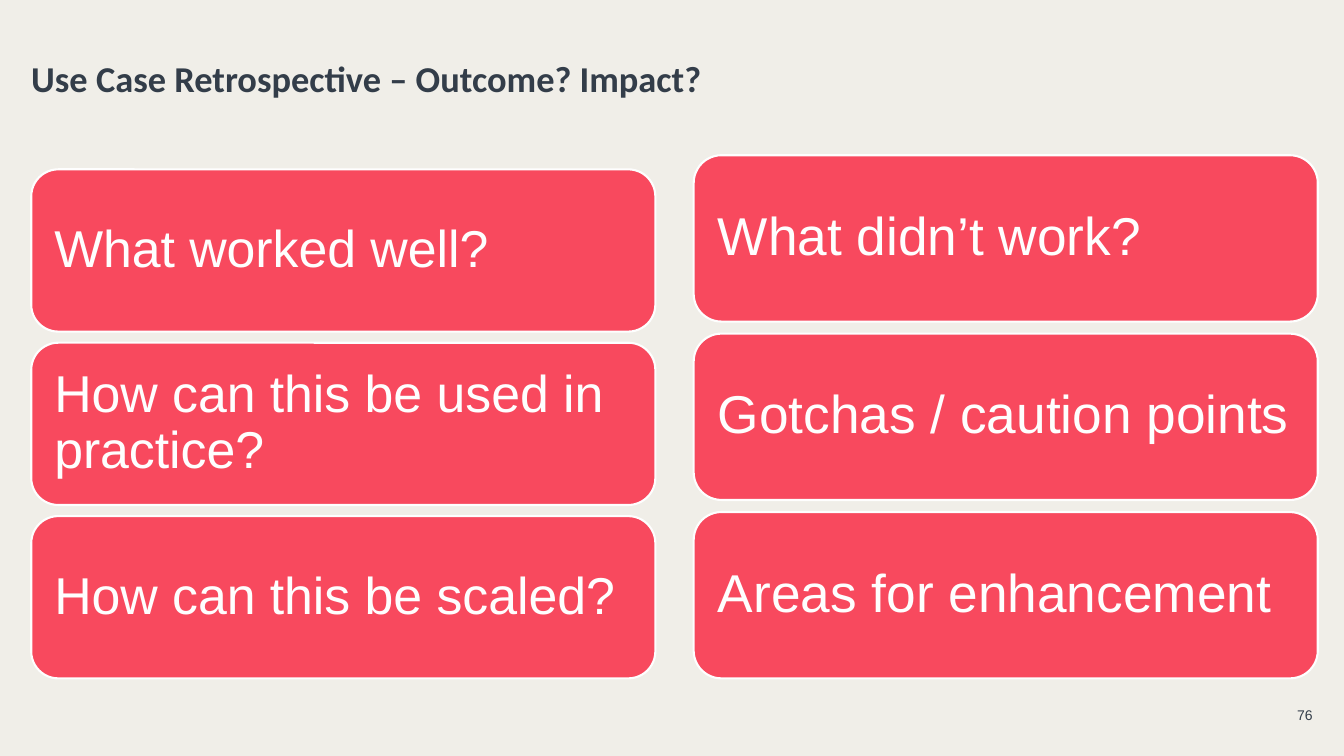
from pptx import Presentation
from pptx.dml.color import RGBColor as RGB
from pptx.enum.shapes import MSO_SHAPE as Shape
from pptx.enum.text import MSO_ANCHOR as Anchor, MSO_AUTO_SIZE as Fit, PP_ALIGN as Align
from pptx.util import Inches, Pt

COLORS = {"back": "F0EEE8", "ink": "333D49", "card": "F8495E", "white": "FEFEFE"}
FONTS = {
    "title": {"name": "Calibri", "size": Pt(26), "bold": True},
    "page": {"name": "Arial", "size": Pt(10)},
    "left": {"name": "Arial", "size": Pt(37)},
    "right": {"name": "Arial", "size": Pt(38)},
}
LEFT = ["What worked well?", "How can this be used in practice?", "How can this be scaled?"]
RIGHT = ["What didn’t work?", "Gotchas / caution points", "Areas for enhancement"]


def color(name):
    return RGB.from_string(COLORS[name])


def write(shape, text, font, ink, anchor, align=Align.LEFT, inset=0, line=1.0, wrap=True):
    frame = shape.text_frame
    pad = Inches(inset)
    values = {"auto_size": Fit.NONE, "word_wrap": wrap, "vertical_anchor": anchor,
              "margin_left": pad, "margin_right": pad,
              "margin_top": pad, "margin_bottom": pad}
    for key, value in values.items():
        setattr(frame, key, value)
    para = frame.paragraphs[0]
    para.alignment, para.line_spacing = align, line
    run = para.add_run()
    run.text = text
    for key, value in FONTS[font].items():
        setattr(run.font, key, value)
    run.font.color.rgb = color(ink)


def add_title(slide, text, box):
    title = slide.shapes.title
    title.left, title.top, title.width, title.height = map(Inches, box)
    write(title, text, "title", "ink", Anchor.BOTTOM, line=1.05)


def add_page(slide, number, box):
    page = slide.shapes.add_textbox(*map(Inches, box))
    write(page, number, "page", "ink", Anchor.BOTTOM, Align.RIGHT, wrap=False)


def add_cards(slide, texts, box, gap, font, inset):
    """Stack equal cards that fill the box."""
    left, top, width, height = box
    tall = (height - gap * (len(texts) - 1)) / len(texts)
    for row, text in enumerate(texts):
        place = (left, top + row * (tall + gap), width, tall)
        card = slide.shapes.add_shape(Shape.ROUNDED_RECTANGLE, *map(Inches, place))
        card.shadow.inherit = False
        card.fill.solid()
        card.fill.fore_color.rgb = color("card")
        card.line.color.rgb = color("white")
        card.line.width = Pt(1.5)
        write(card, text, font, "white", Anchor.MIDDLE, inset=inset, line=0.9)


def main():
    deck = Presentation()
    deck.slide_width, deck.slide_height = Inches(13.33), Inches(7.5)
    slide = deck.slides.add_slide(deck.slide_layouts[5])
    slide.background.fill.solid()
    slide.background.fill.fore_color.rgb = color("back")

    # Heading and page number
    add_title(slide, "Use Case Retrospective – Outcome? Impact?", (0.31, 0.36, 11.81, 0.63))
    add_page(slide, "76", (12.65, 6.95, 0.37, 0.23))

    # Two columns of questions
    add_cards(slide, LEFT, (0.31, 1.68, 6.19, 5.05), 0.11, "left", 0.15)
    add_cards(slide, RIGHT, (6.88, 1.54, 6.19, 5.19), 0.12, "right", 0.16)
    deck.save("out.pptx")


if __name__ == "__main__":
    main()
